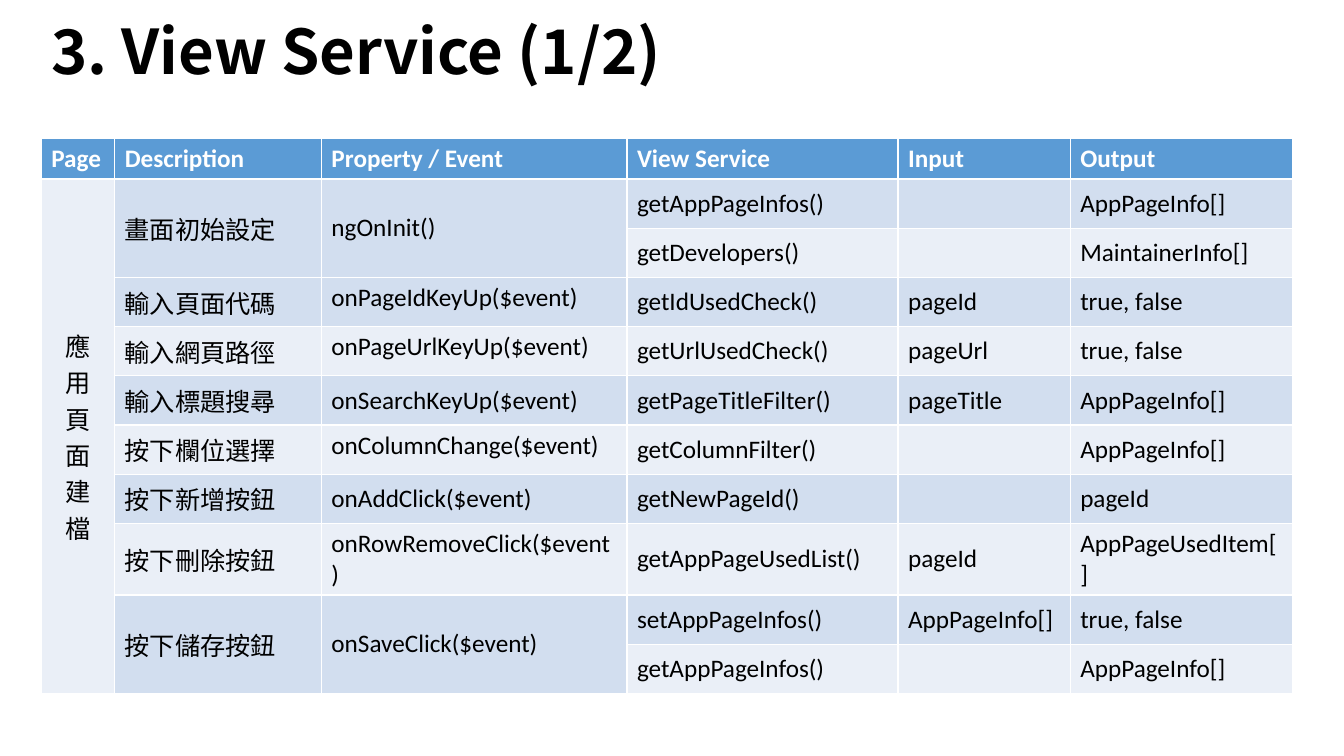
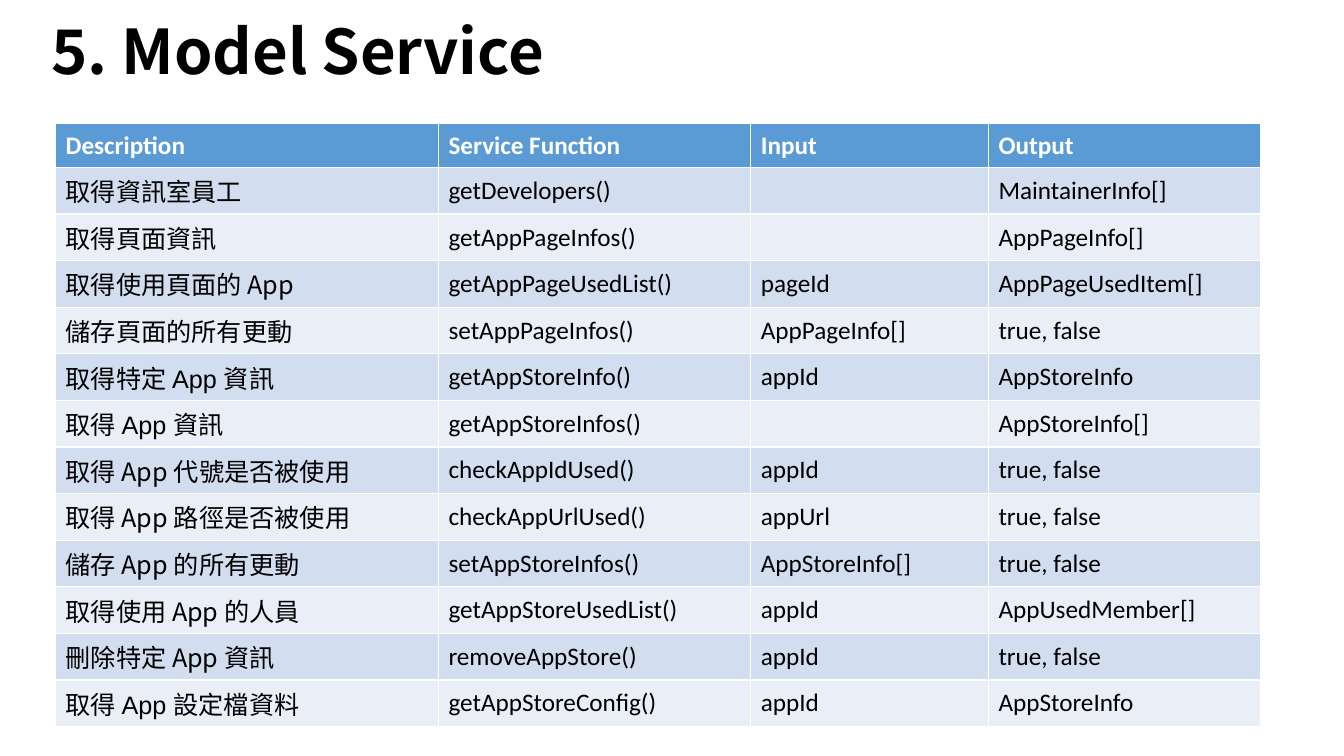
"""Build two service overview slides, each with a title and a banded table."""
from lxml import etree
from pptx import Presentation
from pptx.dml.color import RGBColor
from pptx.enum.text import MSO_ANCHOR, MSO_AUTO_SIZE, PP_ALIGN
from pptx.oxml.ns import qn
from pptx.util import Cm, Pt

MIDDLE, TOP = MSO_ANCHOR.MIDDLE, MSO_ANCHOR.TOP
LEFT, CENTER = PP_ALIGN.LEFT, PP_ALIGN.CENTER
NO_FIT = MSO_AUTO_SIZE.NONE

BLACK = RGBColor(0x00, 0x00, 0x00)
WHITE = RGBColor(0xFF, 0xFF, 0xFF)
BLUE = RGBColor(0x5B, 0x9B, 0xD5)
BANDS = RGBColor(0xEA, 0xEF, 0xF7), RGBColor(0xD2, 0xDE, 0xEF)
LATIN, HAN, PLAIN = "Calibri", "Noto Sans CJK SC", "Arial"

SAME = None
VIEW = {
    "title": "3. View Service (1/2)",
    "at": (1.04, 3.48),
    "cols": (1.85, 5.21, 7.7, 6.83, 4.34, 5.61),
    "heights": (1.02, 1.24),
    "han": (0, 1),
    "plain": (),
    "top": ((3, 2), (4, 2), (6, 2)),
    "center": ((1, 0),),
    "rows": [
        ("Page", "Description", "Property / Event", "View Service", "Input", "Output"),
        ("\n".join("應用頁面建檔"), "畫面初始設定", "ngOnInit()", "getAppPageInfos()", "", "AppPageInfo[]"),
        (SAME, SAME, SAME, "getDevelopers()", "", "MaintainerInfo[]"),
        (SAME, "輸入頁面代碼", "onPageIdKeyUp($event)", "getIdUsedCheck()", "pageId", "true, false"),
        (SAME, "輸入網頁路徑", "onPageUrlKeyUp($event)", "getUrlUsedCheck()", "pageUrl", "true, false"),
        (SAME, "輸入標題搜尋", "onSearchKeyUp($event)", "getPageTitleFilter()", "pageTitle", "AppPageInfo[]"),
        (SAME, "按下欄位選擇", "onColumnChange($event)", "getColumnFilter()", "", "AppPageInfo[]"),
        (SAME, "按下新增按鈕", "onAddClick($event)", "getNewPageId()", "", "pageId"),
        (SAME, "按下刪除按鈕", "onRowRemoveClick($event)", "getAppPageUsedList()", "pageId", "AppPageUsedItem[]"),
        (SAME, "按下儲存按鈕", "onSaveClick($event)", "setAppPageInfos()", "AppPageInfo[]", "true, false"),
        (SAME, SAME, SAME, "getAppPageInfos()", "", "AppPageInfo[]"),
    ],
}
MODEL = {
    "title": "5. Model Service",
    "at": (1.4, 3.12),
    "cols": (9.65, 7.87, 5.99, 6.86),
    "heights": (1.1, 1.17),
    "han": (0,),
    "plain": ((1, 0), (5, 0), (6, 0), (12, 0)),
    "top": (),
    "center": (),
    "rows": [
        ("Description", "Service Function", "Input", "Output"),
        ("取得資訊室員工", "getDevelopers()", "", "MaintainerInfo[]"),
        ("取得頁面資訊", "getAppPageInfos()", "", "AppPageInfo[]"),
        ("取得使用頁面的 App", "getAppPageUsedList()", "pageId", "AppPageUsedItem[]"),
        ("儲存頁面的所有更動", "setAppPageInfos()", "AppPageInfo[]", "true, false"),
        ("取得特定 App 資訊", "getAppStoreInfo()", "appId", "AppStoreInfo"),
        ("取得 App 資訊", "getAppStoreInfos()", "", "AppStoreInfo[]"),
        ("取得 App 代號是否被使用", "checkAppIdUsed()", "appId", "true, false"),
        ("取得 App 路徑是否被使用", "checkAppUrlUsed()", "appUrl", "true, false"),
        ("儲存 App 的所有更動", "setAppStoreInfos()", "AppStoreInfo[]", "true, false"),
        ("取得使用 App 的人員", "getAppStoreUsedList()", "appId", "AppUsedMember[]"),
        ("刪除特定 App 資訊", "removeAppStore()", "appId", "true, false"),
        ("取得 App 設定檔資料", "getAppStoreConfig()", "appId", "AppStoreInfo"),
    ],
}


def style(frame, size, face, color, bold, align=LEFT):
    """Format every run of a text frame."""
    for par in frame.paragraphs:
        par.alignment = align
        for run in par.runs:
            font = run.font
            font.size, font.name, font.bold = Pt(size), face, bold
            font.color.rgb = color
            east = etree.SubElement(run._r.get_or_add_rPr(), qn("a:ea"))
            east.set("typeface", HAN)


def add_title(slide, text):
    """Place and format the title."""
    title = slide.shapes.title
    title.left, title.top = Cm(1.04), Cm(-0.25)
    title.width, title.height = Cm(23.62), Cm(3.25)
    frame = title.text_frame
    frame.text = text
    frame.auto_size = NO_FIT
    frame.vertical_anchor = MIDDLE
    frame.paragraphs[0].line_spacing = 0.9
    style(frame, 44, HAN, BLACK, True)


def add_grid(slide, data):
    """Add the table, joining each cell with the SAME cells below it."""
    rows, cols = data["rows"], data["cols"]
    head, body = data["heights"]
    highs = [head] + [body] * (len(rows) - 1)
    left, top = data["at"]
    grid = slide.shapes.add_table(
        len(rows), len(cols), Cm(left), Cm(top), Cm(sum(cols)), Cm(sum(highs))
    ).table
    for col, width in zip(grid.columns, cols):
        col.width = Cm(width)
    for row, high in zip(grid.rows, highs):
        row.height = Cm(high)
    for r, row in enumerate(rows):
        for c, text in enumerate(row):
            if text is not SAME:
                fill_cell(grid, data, r, c, text)


def fill_cell(grid, data, r, c, text):
    """Write one cell and give it its span, fill and text style."""
    rows, spot, cell = data["rows"], (r, c), grid.cell(r, c)
    last = r
    while last + 1 < len(rows) and rows[last + 1][c] is SAME:
        last += 1
    if last > r:
        cell.merge(grid.cell(last, c))
    tall = last - r > 1
    cell.fill.solid()
    cell.fill.fore_color.rgb = BLUE if r == 0 else BANDS[0 if tall else r % 2]
    cell.vertical_anchor = TOP if spot in data["top"] else MIDDLE
    cell.text_frame.text = text
    face = HAN if r and c in data["han"] else LATIN
    if spot in data["plain"]:
        face = PLAIN
    align = CENTER if spot in data["center"] else LEFT
    style(cell.text_frame, 18, face, BLACK if r else WHITE, r == 0, align)


def main():
    """Build and save the deck."""
    deck = Presentation()
    deck.slide_width, deck.slide_height = Cm(33.87), Cm(19.05)
    for data in (VIEW, MODEL):
        slide = deck.slides.add_slide(deck.slide_layouts[5])
        add_title(slide, data["title"])
        add_grid(slide, data)
    deck.save("out.pptx")


if __name__ == "__main__":
    main()
